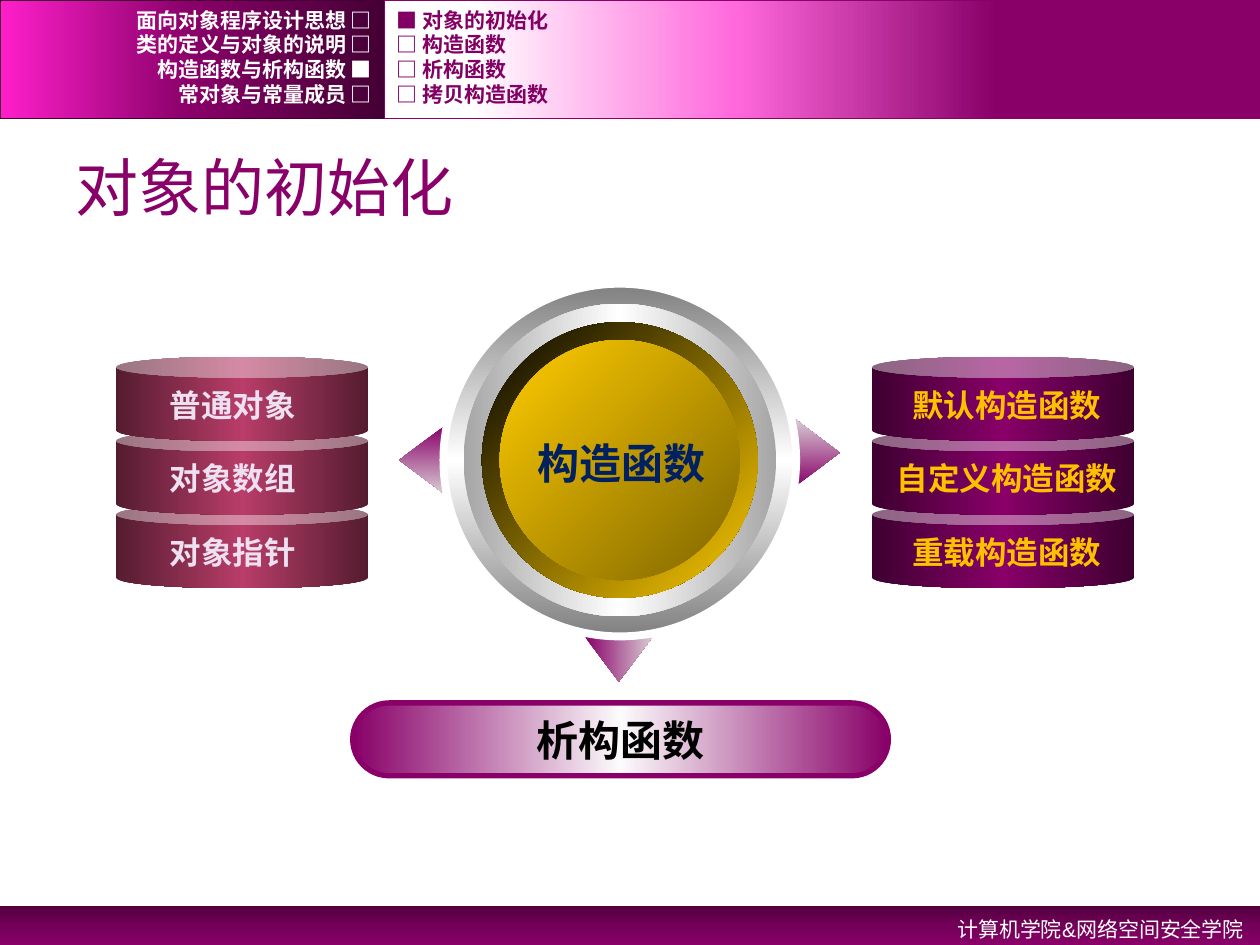
from dataclasses import dataclass

from lxml.etree import SubElement
from pptx import Presentation
from pptx.dml.color import RGBColor
from pptx.enum.shapes import MSO_SHAPE as Preset
from pptx.enum.text import MSO_ANCHOR as Anchor, PP_ALIGN as Align
from pptx.oxml.ns import qn
from pptx.util import Cm, Pt


@dataclass(frozen=True)
class Theme:
    plum: str = "880068"
    deep: str = "440034"
    menu: str = "820064"
    white: str = "FFFFFF"
    black: str = "000000"
    navy: str = "002060"
    lilac: str = "EEE0F1"
    amber: str = "FFC000"
    latin: str = "Arial"
    mono: str = "Courier New"
    cjk: str = "Noto Sans CJK SC"
    small: int = 12
    label: int = 18
    heading: int = 24
    title: int = 36
    footer_fill: tuple = ((0, "51003E"), (50, "730058"), (100, "880068"))
    left_fill: tuple = ((0, "440034"), (50, "880068"), (100, "FF1FCA"))
    right_fill: tuple = ((30, "880068"), (60, "FF69DC"), (90, "FFFFFF"))
    arrow_fill: tuple = ((0, "880068"), (100, "DACDD5"))
    rim_fill: tuple = ((0, "808080"), (50, "FFFFFF"), (100, "808080"))
    ring_fill: tuple = ((0, "A6A6A6"), (50, "FFFFFF"), (100, "A6A6A6"))
    bevel_fill: tuple = ((0, "000000"), (100, "FFCC00"))
    gold_fill: tuple = ((0, "FFCC00"), (100, "806600"))
    rose_can: tuple = ((0, "551C30"), (50, "B83D68"), (100, "551C30"))
    plum_can: tuple = ((0, "3E0030"), (50, "880068"), (100, "3E0030"))
    capsule_fill: tuple = ((0, "880068"), (50, "FCFBFC"), (100, "880068"))


THEME = Theme()


def paint_gradient(shape, stops, angle):
    shape.fill.gradient()
    gradient = shape.element.spPr.find(qn("a:gradFill"))
    stop_list = gradient.find(qn("a:gsLst"))
    for stop in list(stop_list):
        stop_list.remove(stop)
    for position, color in stops:
        stop = SubElement(stop_list, qn("a:gs"), pos=str(position * 1000))
        SubElement(stop, qn("a:srgbClr"), val=color)
    gradient.find(qn("a:lin")).set("ang", str(angle * 60000))


def add_figure(page, preset, box, stops, angle, line=None, adjustments=()):
    shape = page.shapes.add_shape(preset, *map(Cm, box))
    shape.shadow.inherit = False
    for index, value in enumerate(adjustments):
        shape.adjustments[index] = value
    paint_gradient(shape, stops, angle)
    if line:
        color, width = line
        shape.line.color.rgb = RGBColor.from_string(color)
        shape.line.width = Pt(width)
    else:
        shape.line.fill.background()
    return shape


def write(shape, text, size, color, font, bold=False, align=Align.CENTER,
          anchor=Anchor.MIDDLE, wrap=False, spacing=None):
    frame = shape.text_frame
    frame.word_wrap = wrap
    frame.vertical_anchor = anchor
    para = frame.paragraphs[0]
    para.alignment = align
    para.line_spacing = spacing
    span = para.add_run()
    span.text = text
    span.font.size = Pt(size)
    span.font.bold = bold
    span.font.name = font
    span.font.color.rgb = RGBColor.from_string(color)
    latin = span.font._element.find(qn("a:latin"))
    latin.addnext(latin.makeelement(qn("a:ea"), {"typeface": THEME.cjk}))


def add_text(page, box, *args, **kwargs):
    write(page.shapes.add_textbox(*map(Cm, box)), *args, **kwargs)


def add_menu(page, box, text_width, rows, stops, line, color, align):
    left, top, width, height = box
    add_figure(page, Preset.RECTANGLE, box, stops, 180, (line, 1))
    for index, row in enumerate(rows):
        add_text(page, (left, top + 0.15 + index * 0.5, text_width, 0.5), row,
                 THEME.small, color, THEME.mono, bold=True, align=align, wrap=True)


def add_footer(page, box, text):
    left, top, width, height = box
    add_figure(page, Preset.RECTANGLE, box, THEME.footer_fill, 90)
    add_text(page, (left + width - 9.09, top, 9.02, height), text, THEME.small,
             THEME.white, THEME.latin, align=Align.RIGHT, anchor=Anchor.TOP,
             wrap=True, spacing=1.2)


def add_title(page, box, text):
    title = page.shapes.title
    title.left, title.top, title.width, title.height = map(Cm, box)
    write(title, text, THEME.title, THEME.plum, THEME.latin, align=Align.LEFT, wrap=True)


def add_dial(page, box, text):
    left, top, width, height = box
    center_x, center_y = left + width / 2, top + height / 2
    arrow_width, arrow_height = 1.37, 0.91
    for shift_x, shift_y, turn in ((-3.99, 0, 270), (3.98, -0.15, 90), (-0.02, 4.01, 180)):
        arrow_box = (center_x + shift_x - arrow_width / 2,
                     center_y + shift_y - arrow_height / 2, arrow_width, arrow_height)
        arrow = add_figure(page, Preset.UP_ARROW, arrow_box, THEME.arrow_fill, 0,
                           adjustments=(0.52, 1))
        arrow.rotation = turn
        arrow.element.spPr.find(qn("a:xfrm")).set("flipH", "1")
    discs = (
        (width, THEME.rim_fill, 90, (THEME.white, 4.5)),
        (6.3, THEME.ring_fill, 0, None),
        (5.56, THEME.bevel_fill, 45, None),
        (4.84, THEME.gold_fill, 45, None),
    )
    for size, stops, angle, line in discs:
        disc_box = (center_x - size / 2, center_y - size / 2, size, size)
        add_figure(page, Preset.OVAL, disc_box, stops, angle, line)
    add_text(page, (center_x - 1.95, center_y - 0.58, 3.96, 1.27), text,
             THEME.heading, THEME.navy, THEME.cjk, bold=True, anchor=Anchor.TOP)


def add_can_stack(page, box, labels, stops, color, text_shift):
    left, top, width, height = box
    can_height = 1.7
    pitch = (height - can_height) / (len(labels) - 1)
    tops = [top + index * pitch for index in range(len(labels))]
    for can_top in reversed(tops):
        add_figure(page, Preset.CAN, (left, can_top, width, can_height), stops, 0,
                   adjustments=(0.25,))
    for can_top, label in zip(tops, labels):
        add_text(page, (left + text_shift, can_top + 0.46, width, 1.02), label,
                 THEME.label, color, THEME.cjk, bold=True, anchor=Anchor.TOP)


def add_capsule(page, box, text):
    capsule = add_figure(page, Preset.ROUNDED_RECTANGLE, box, THEME.capsule_fill, 0,
                         (THEME.plum, 3), (0.5,))
    write(capsule, text, THEME.heading, THEME.black, THEME.cjk, bold=True)


def main():
    deck = Presentation()
    deck.slide_width, deck.slide_height = Cm(25.4), Cm(19.05)
    page = deck.slides.add_slide(deck.slide_layouts[5])
    add_footer(page, (0, 18.26, 25.4, 0.79), "计算机学院&网络空间安全学院")
    add_menu(page, (0, 0, 7.75, 2.39), 7.75,
             ("面向对象程序设计思想 □", "类的定义与对象的说明 □",
              "构造函数与析构函数 ■", "常对象与常量成员 □"),
             THEME.left_fill, THEME.deep, THEME.white, Align.RIGHT)
    add_menu(page, (7.75, 0, 17.65, 2.39), 15.29,
             ("■ 对象的初始化", "□ 构造函数", "□ 析构函数", "□ 拷贝构造函数"),
             THEME.right_fill, THEME.plum, THEME.menu, Align.LEFT)
    add_title(page, (1.27, 2.77, 22.86, 1.98), "对象的初始化")
    add_dial(page, (8.94, 5.72, 7.11, 7.11), "构造函数")
    add_can_stack(page, (2.34, 7.19, 5.08, 4.67), ("普通对象", "对象数组", "对象指针"),
                  THEME.rose_can, THEME.lilac, -0.19)
    add_can_stack(page, (17.58, 7.19, 5.28, 4.67),
                  ("默认构造函数", "自定义构造函数", "重载构造函数"),
                  THEME.plum_can, THEME.amber, 0.08)
    add_capsule(page, (7.11, 14.17, 10.8, 1.47), "析构函数")
    deck.save("out.pptx")


if __name__ == "__main__":
    main()
